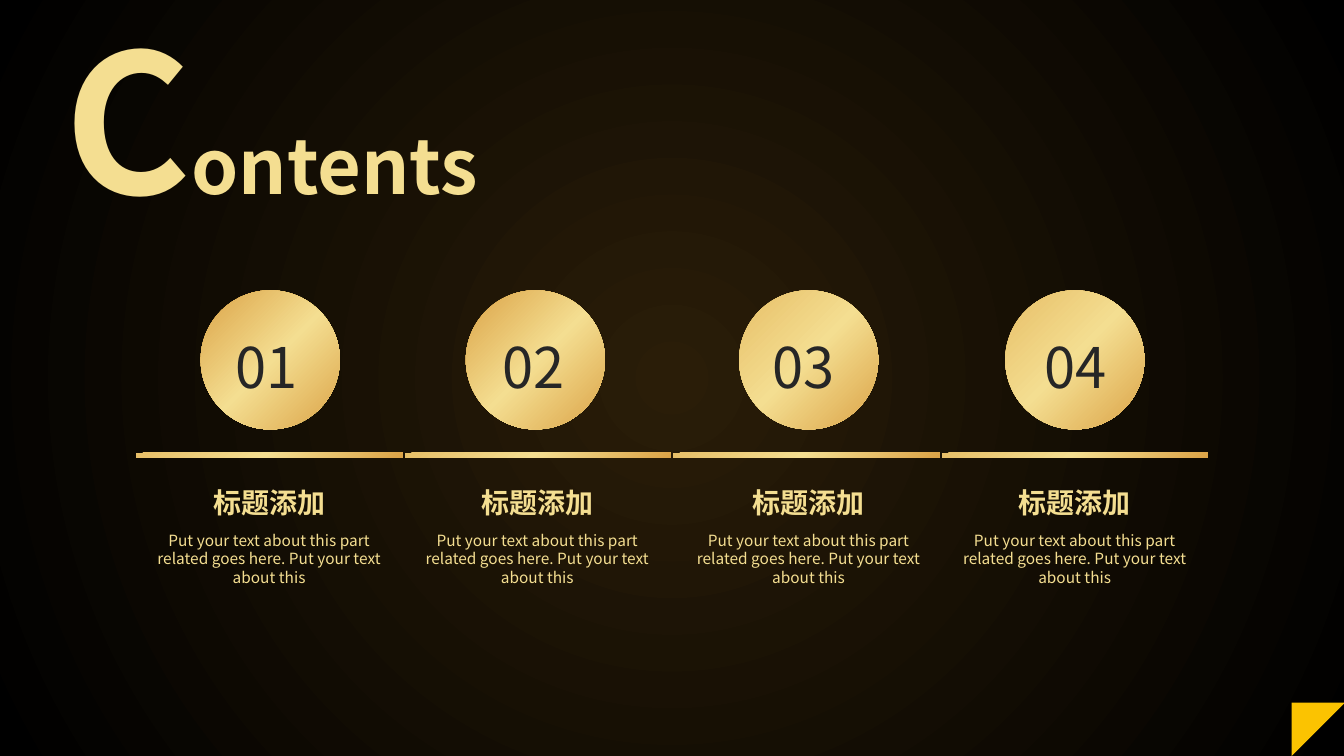
from dataclasses import dataclass

from lxml.etree import SubElement
from pptx import Presentation
from pptx.dml.color import RGBColor
from pptx.enum.shapes import MSO_SHAPE
from pptx.enum.text import MSO_ANCHOR, MSO_AUTO_SIZE, PP_ALIGN
from pptx.oxml.ns import qn
from pptx.util import Inches, Pt


@dataclass(frozen=True)
class Theme:
    font: str = "Noto Sans CJK SC"
    gold: str = "F4DE91"
    ink: str = "262626"
    corner: str = "FBC301"
    glow: tuple = ((0, "2A1D08"), (100, "000000"))
    sheen: tuple = ((0, "E7BF68"), (49, "F4DE91"), (100, "DBA347"))
    deep_sheen: tuple = ((0, "DBA347"), (51, "F4DE91"), (100, "DBA347"))
    initial_size: int = 138
    title_size: int = 54
    number_size: int = 40
    heading_size: int = 20
    body_size: int = 11


@dataclass(frozen=True)
class Section:
    number: str
    circle_left: float
    number_left: float
    number_width: float
    body_left: float
    sheen: tuple


THEME = Theme()
HEADING = "标题添加"
BODY = "Put your text about this part related goes here. Put your text about this"
SECTIONS = (
    Section("01 ", 1.99, 2.19, 1.03, 1.42, THEME.deep_sheen),
    Section("02 ", 4.62, 4.84, 1.03, 4.08, THEME.deep_sheen),
    Section("03 ", 7.33, 7.41, 1.24, 6.77, THEME.sheen),
    Section("04", 9.97, 10.24, 0.86, 9.41, THEME.sheen),
)
BAR_LEFT, BAR_PITCH = 1.35, 2.663


def paint_gradient(fill, element, stops, radial=False):
    fill.solid()
    fill.fore_color.rgb = RGBColor.from_string(stops[0][1])
    solid = next(element.iter(qn("a:solidFill")))
    gradient = solid.makeelement(qn("a:gradFill"), {"rotWithShape": "1"})
    stop_list = SubElement(gradient, qn("a:gsLst"))
    for position, color in stops:
        stop = SubElement(stop_list, qn("a:gs"), pos=str(position * 1000))
        SubElement(stop, qn("a:srgbClr"), val=color)
    if radial:
        center = SubElement(gradient, qn("a:path"), {"path": "circle"})
        sides = {side: "50000" for side in "ltrb"}
        SubElement(center, qn("a:fillToRect"), sides)
    else:
        SubElement(gradient, qn("a:lin"), ang="2700000", scaled="0")
    solid.getparent().replace(solid, gradient)


def format_run(run, size, color, bold=False):
    run.font.size = Pt(size)
    run.font.bold = bold
    run.font.color.rgb = RGBColor.from_string(color)
    run.font.name = THEME.font
    SubElement(run.font._element, qn("a:ea"), typeface=THEME.font)


def add_plain_shape(shapes, kind, left, top, width, height):
    shape = shapes.add_shape(
        kind, Inches(left), Inches(top), Inches(width), Inches(height))
    shape.shadow.inherit = False
    shape.line.fill.background()
    return shape


def add_gold_shape(shapes, kind, box, stops):
    shape = add_plain_shape(shapes, kind, *box)
    paint_gradient(shape.fill, shape._element, stops)
    return shape


def add_label(shapes, text, box, size, color, bold=False, spacing=None, after=None):
    label = shapes.add_textbox(*(Inches(length) for length in box))
    frame = label.text_frame
    frame.word_wrap = True
    frame.auto_size = MSO_AUTO_SIZE.SHAPE_TO_FIT_TEXT
    frame.text = text
    paragraph = frame.paragraphs[0]
    paragraph.alignment = PP_ALIGN.CENTER
    paragraph.line_spacing = spacing
    paragraph.space_after = after
    format_run(paragraph.runs[0], size, color, bold)


def fill_title(title):
    title.left, title.top = Inches(0.54), Inches(-0.04)
    title.width, title.height = Inches(5.23), Inches(2.42)
    frame = title.text_frame
    frame.vertical_anchor = MSO_ANCHOR.TOP
    frame.auto_size = MSO_AUTO_SIZE.SHAPE_TO_FIT_TEXT
    paragraph = frame.paragraphs[0]
    paragraph.alignment = PP_ALIGN.LEFT
    for text, size in (("C", THEME.initial_size), ("ontents", THEME.title_size)):
        run = paragraph.add_run()
        run.text = text
        format_run(run, size, THEME.gold, bold=True)


def add_section(shapes, section):
    badge = shapes.add_group_shape().shapes
    add_gold_shape(badge, MSO_SHAPE.OVAL,
                   (section.circle_left, 2.88, 1.38, 1.38), section.sheen)
    add_label(badge, section.number,
              (section.number_left, 3.08, section.number_width, 0.87),
              THEME.number_size, THEME.ink, spacing=1.25)
    caption = shapes.add_group_shape().shapes
    add_label(caption, BODY, (section.body_left, 5.22, 2.5, 0.66),
              THEME.body_size, THEME.gold, after=Pt(6))
    add_label(caption, HEADING, (section.body_left + 0.15, 4.77, 2.2, 0.44),
              THEME.heading_size, THEME.gold, bold=True)


def add_corner(shapes):
    corner = add_plain_shape(
        shapes, MSO_SHAPE.RIGHT_TRIANGLE, 12.81, 6.97, 0.53, 0.53)
    corner.rotation = 90
    corner.fill.solid()
    corner.fill.fore_color.rgb = RGBColor.from_string(THEME.corner)


def main():
    deck = Presentation()
    deck.slide_width, deck.slide_height = Inches(13.33), Inches(7.5)
    slide = deck.slides.add_slide(deck.slide_layouts[5])
    paint_gradient(slide.background.fill, slide._element, THEME.glow, radial=True)
    fill_title(slide.shapes.title)
    for index in range(len(SECTIONS)):
        bar = add_gold_shape(
            slide.shapes, MSO_SHAPE.ROUNDED_RECTANGLE,
            (BAR_LEFT + BAR_PITCH * index, 4.49, 2.64, 0.05), THEME.sheen)
        bar.adjustments[0] = 0
    for section in SECTIONS:
        add_section(slide.shapes, section)
    add_corner(slide.shapes)
    deck.save("out.pptx")


if __name__ == "__main__":
    main()
